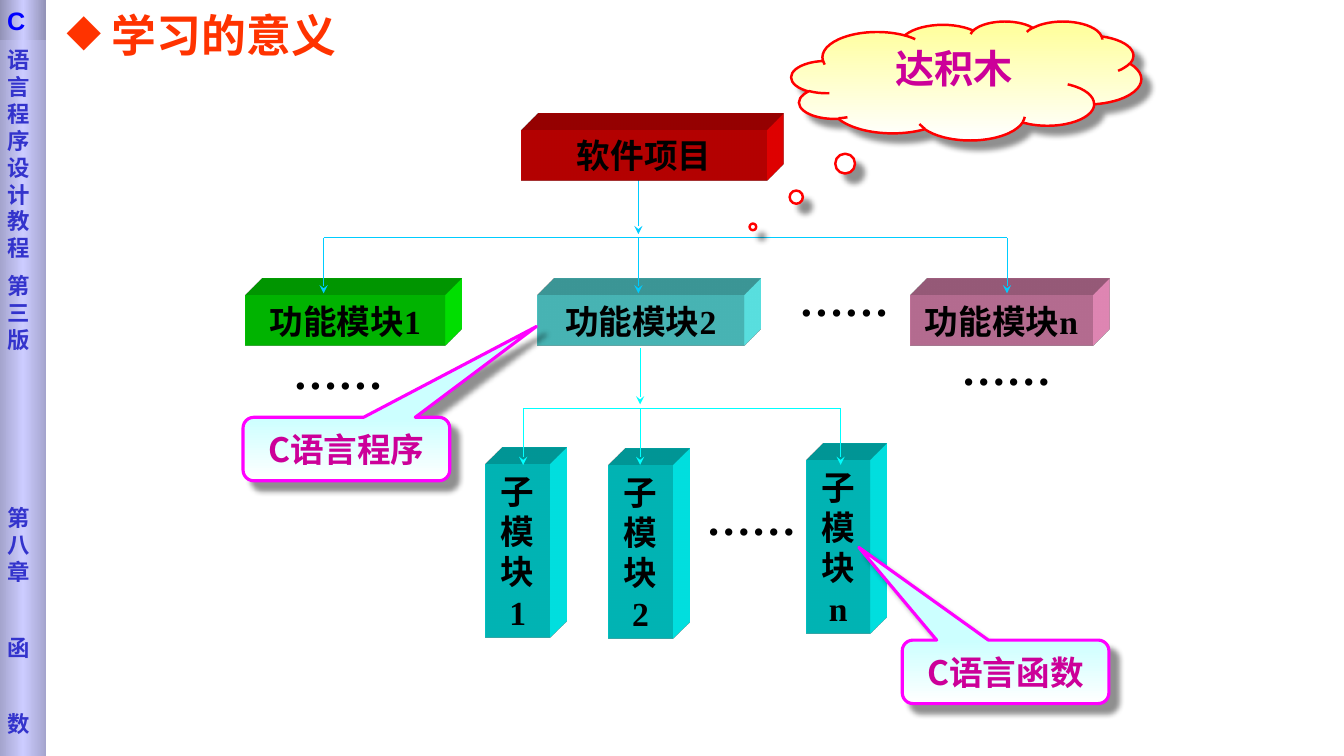
import pptx
import pptx.util
import pptx.oxml
import pptx.oxml.ns
from pptx.dml.color import RGBColor
from pptx.enum.shapes import MSO_CONNECTOR, MSO_SHAPE
from pptx.enum.text import MSO_ANCHOR, PP_ALIGN

BLACK = RGBColor(0x00, 0x00, 0x00)
WHITE = RGBColor(0xFF, 0xFF, 0xFF)
ORANGE = RGBColor(0xFF, 0x33, 0x00)
RED = RGBColor(0xFF, 0x00, 0x00)
GREEN = RGBColor(0x00, 0xFF, 0x00)
AQUA = RGBColor(0x66, 0xFF, 0xFF)
PINK = RGBColor(0xFF, 0x99, 0xCC)
CYAN = RGBColor(0x00, 0xFF, 0xFF)
SKY = RGBColor(0x00, 0xCC, 0xFF)
MAGENTA = RGBColor(0xFF, 0x00, 0xFF)
PURPLE = RGBColor(0xCC, 0x00, 0x99)
PALE_CYAN = RGBColor(0xCC, 0xFF, 0xFF)
PALE_YELLOW = RGBColor(0xFF, 0xFF, 0x99)
LILAC = RGBColor(0xCC, 0xCC, 0xFF)
LILAC_EDGE = RGBColor(0xA4, 0xA4, 0xCD)
LILAC_DARK = RGBColor(0x92, 0x92, 0xB6)
BLUE = RGBColor(0x00, 0x00, 0xFF)
INDIGO = RGBColor(0x33, 0x33, 0xCC)

SERIF, SANS, CJK, SIDE = "Times New Roman", "Arial", "Noto Sans CJK SC", "DejaVu Sans"
WIDTH, HEIGHT = pptx.util.Inches(13.33), pptx.util.Inches(7.5)
MODULE_TOP, MODULE_HEIGHT = 39.07, 6.67
CALLOUT_SIZE = (15.38, 8.4)


def across(percent):
    return round(WIDTH * percent / 100)


def down(percent):
    return round(HEIGHT * percent / 100)


def xml(tag, body="", **attributes):
    """Return an element of the drawing namespace."""
    listed = "".join(f' {name}="{value}"' for name, value in attributes.items())
    namespace = pptx.oxml.ns.nsdecls("a")
    return pptx.oxml.parse_xml(f"<a:{tag} {namespace}{listed}>{body}</a:{tag}>")


def write(shape, *lines, size=24, font=SERIF, color=BLACK, align=PP_ALIGN.CENTER,
          anchor=MSO_ANCHOR.MIDDLE, margins=(0.1, 0.05, 0.1, 0.05), gaps=(), bullet=None):
    """Write one paragraph per line; gaps are the points before each later one."""
    frame = shape.text_frame
    frame.word_wrap = True
    frame.vertical_anchor = anchor
    (frame.margin_left, frame.margin_top,
     frame.margin_right, frame.margin_bottom) = map(pptx.util.Inches, margins)
    for index, line in enumerate(lines):
        paragraph = frame.paragraphs[0] if index == 0 else frame.add_paragraph()
        if bullet:
            properties = paragraph._p.get_or_add_pPr()
            indent = pptx.util.Inches(0.45)
            properties.set("marL", str(indent))
            properties.set("indent", str(-indent))
            properties.append(xml("buChar", char=bullet))
        paragraph.alignment = align
        paragraph.space_before = pptx.util.Pt(gaps[index - 1] if index else 0)
        run = paragraph.add_run()
        run.text = line
        run.font.size = pptx.util.Pt(size)
        run.font.name = font
        run.font.bold = True
        run.font.color.rgb = color


class ModuleSlide:
    """Places elements on the slide; positions are percentages of its size."""

    def __init__(self, presentation):
        self.slide = presentation.slides.add_slide(presentation.slide_layouts[5])
        self.shapes = self.slide.shapes

    def title(self, text, left, top, width, height):
        shape = self.shapes.title
        shape.left, shape.top = across(left), down(top)
        shape.width, shape.height = across(width), down(height)
        write(shape, text, size=32, font=SANS, color=ORANGE, align=PP_ALIGN.LEFT, bullet="◆")

    def shape(self, kind, left, top, width, height):
        shape = self.shapes.add_shape(
            kind, across(left), down(top), across(width), down(height))
        shape.shadow.inherit = False
        shape.line.fill.background()
        return shape

    def gradient(self, shape, colors, angle):
        shape.fill.gradient()
        shape.fill.gradient_angle = angle
        stops = shape._element.spPr.find(".//" + pptx.oxml.ns.qn("a:gsLst"))
        for stop in list(stops):
            stops.remove(stop)
        for index, color in enumerate(colors):
            position = 100000 * index // (len(colors) - 1)
            stops.append(xml("gs", f'<a:srgbClr val="{color}"/>', pos=position))

    def block(self, text, left, top, width, height, color):
        """Add a box extruded towards the top right."""
        shape = self.shape(MSO_SHAPE.RECTANGLE, left, top, width, height)
        shape.fill.solid()
        shape.fill.fore_color.rgb = color
        shape._element.spPr.append(xml(
            "scene3d", '<a:camera prst="legacyObliqueTopRight"/>'
                       '<a:lightRig rig="legacyFlat3" dir="b"/>'))
        shape._element.spPr.append(xml(
            "sp3d", f'<a:extrusionClr><a:srgbClr val="{color}"/></a:extrusionClr>',
            extrusionH=430200, prstMaterial="legacyMatte"))
        write(shape, text)

    def callout(self, kind, text, left, top, width, height, tip, fill, line, weight, **style):
        shape = self.shape(kind, left, top, width, height)
        for index, value in enumerate(tip):
            shape.adjustments[index] = value
        self.gradient(shape, (fill, WHITE), 270)
        shape.line.color.rgb = line
        shape.line.width = pptx.util.Pt(weight)
        effects = shape._element.spPr.find(pptx.oxml.ns.qn("a:effectLst"))
        effects.append(xml(
            "outerShdw", '<a:srgbClr val="000000"><a:alpha val="43000"/></a:srgbClr>',
            blurRad=pptx.util.Pt(4), dist=pptx.util.Pt(8.4), dir=45 * 60000))
        write(shape, text, color=PURPLE, **style)

    def line(self, start, end, color, arrow=True):
        connector = self.shapes.add_connector(
            MSO_CONNECTOR.STRAIGHT, across(start[0]), down(start[1]), across(end[0]), down(end[1]))
        connector.line.color.rgb = color
        connector.line.width = pptx.util.Pt(0.75)
        if arrow:
            connector.line._get_or_add_ln().append(xml("tailEnd", type="stealth"))
        connector._element.spPr.append(xml("effectLst"))

    def branches(self, columns, trunk, trunk_top, bus, bottom, color):
        """Draw a trunk arrow, a horizontal bus and an arrow down each column."""
        for column in columns:
            self.line((column, bus), (column, bottom), color)
        self.line((columns[0], bus), (columns[-1], bus), color, arrow=False)
        self.line((trunk, trunk_top), (trunk, bus - 0.5), color)

    def ellipsis(self, left, top):
        box = self.shapes.add_textbox(across(left), down(top), across(13.58), down(8.4))
        write(box, "……", size=32, align=PP_ALIGN.LEFT, anchor=MSO_ANCHOR.TOP)

    def band(self, height, colors, *lines, **style):
        shape = self.shape(MSO_SHAPE.RECTANGLE, 0, 0, 3.45, height)
        self.gradient(shape, colors, 0)
        write(shape, *lines, align=PP_ALIGN.LEFT, anchor=MSO_ANCHOR.TOP, **style)


def main():
    presentation = pptx.Presentation()
    presentation.slide_width, presentation.slide_height = WIDTH, HEIGHT
    page = ModuleSlide(presentation)

    for number, left, top in (("1", 36.15, 61.47), ("2", 45.3, 61.6), ("n", 60, 60.93)):
        page.block("子模块" + number, left, top, 4.73, 22.93, CYAN)
    page.branches((38.93, 47.63, 62.55), 47.63, 46, 54, 61.5, CYAN)
    page.title("学习的意义", 4.2, 0.4, 58.5, 8.4)

    for number, left, width, color in (
            ("1", 18.3, 14.78, GREEN), ("2", 39.98, 15.38, AQUA), ("n", 67.73, 13.58, PINK)):
        page.block("功能模块" + number, left, MODULE_TOP, width, MODULE_HEIGHT, color)
    page.branches((24.08, 47.5, 74.93), 47.5, 23.73, 31.47, 38.8, SKY)
    for left, top in ((58.73, 35.33), (51.83, 64.27), (21.08, 44.93), (70.8, 44.4)):
        page.ellipsis(left, top)
    page.block("软件项目", 38.78, 17.2, 18.3, MODULE_HEIGHT, RED)

    for text, left, top, tip in (("C语言程序", 18.08, 55.2, (0.92, -1.93, 0.17)),
                                 ("C语言函数", 67.13, 84.67, (-0.71, -1.96, 0.17))):
        page.callout(MSO_SHAPE.ROUNDED_RECTANGULAR_CALLOUT, text, left, top, *CALLOUT_SIZE,
                     tip, PALE_CYAN, MAGENTA, 2.25, font=CJK)
    page.callout(MSO_SHAPE.CLOUD_CALLOUT, "达积木", 58.88, 2.8, 26.03, 15.73, (-0.61, 1.23),
                 PALE_YELLOW, RED, 1.75, size=28, anchor=MSO_ANCHOR.TOP)

    page.band(100, (LILAC_EDGE, LILAC, LILAC_EDGE), "语言程序设计教程", "第三版", "第八章", "函", "数",
              size=16, font=SIDE, color=INDIGO, margins=(0.07, 0.46, 0.1, 0),
              gaps=(8, 108, 35, 35))
    page.band(5.33, (LILAC_DARK, LILAC, LILAC_DARK), "C",
              size=18, font=SANS, color=BLUE, margins=(0.07, 0.05, 0.1, 0.05))
    presentation.save("out.pptx")


if __name__ == "__main__":
    main()
